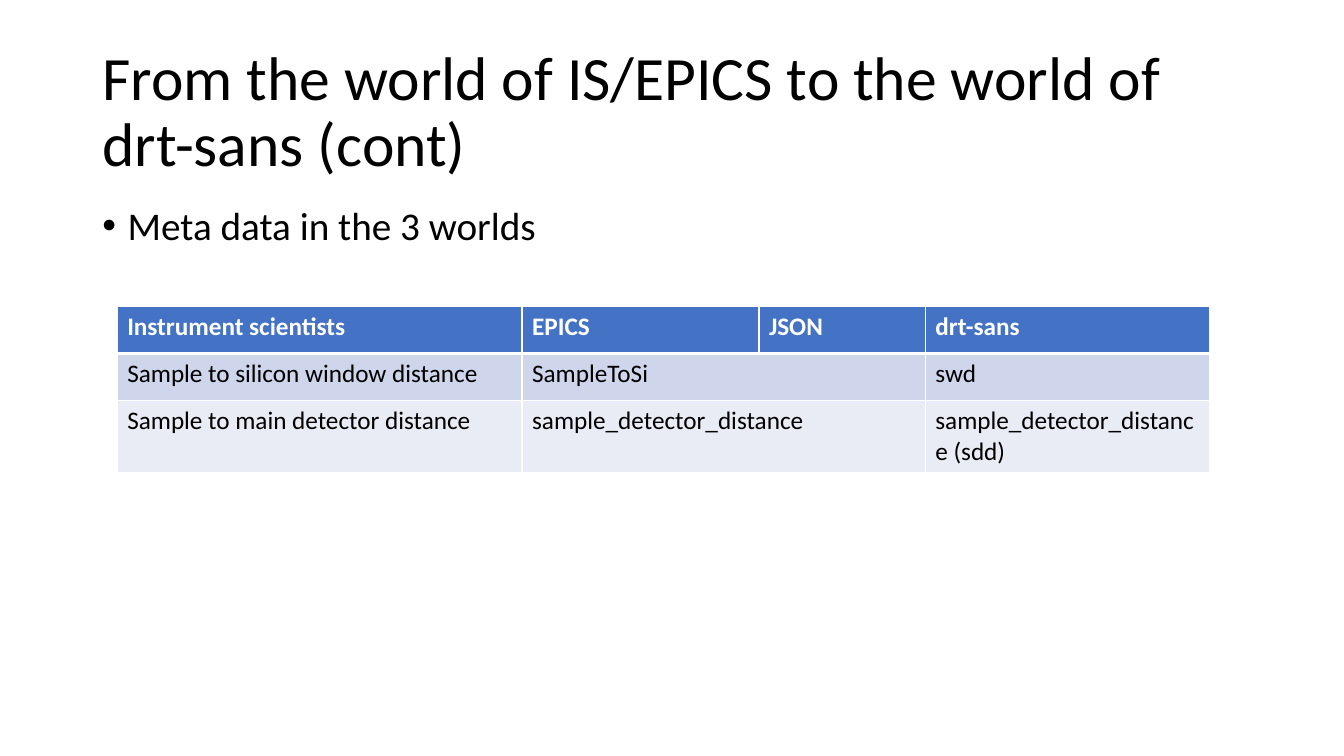
from lxml import etree
from pptx import Presentation
from pptx import util as u
from pptx.dml.color import RGBColor
from pptx.enum import text
from pptx.oxml import ns

COLS, ROWS = 160, 90
BLACK, WHITE, BLUE = "000000", "FFFFFF", "4472C4"
BANDS = ["CFD5EA", "E9EBF5"]


def rgb(value):
    return RGBColor.from_string(value)


class Deck:
    """Holds the style and the current slide; lengths are grid units of 1/12 inch."""
    font = "Calibri"

    def __init__(self):
        self.prs = Presentation()
        self.prs.slide_width, self.prs.slide_height = self.grid(COLS, ROWS)
        self.s = self.prs.slides.add_slide(self.prs.slide_layouts[1])

    def grid(self, *units):
        return [u.Inches(n / 12) for n in units]

    def run(self, p, words, size, color=BLACK, bold=False):
        r = p.add_run()
        r.text = words
        r.font.name, r.font.size, r.font.bold = self.font, u.Pt(size), bold
        r.font.color.rgb = rgb(color)

    def place(self, sp, box, anchor):
        """Moves a placeholder and returns its first paragraph."""
        sp.left, sp.top, sp.width, sp.height = self.grid(*box)
        tf = sp.text_frame
        tf.word_wrap, tf.auto_size = True, text.MSO_AUTO_SIZE.NONE
        tf.vertical_anchor = anchor
        p = tf.paragraphs[0]
        p.alignment, p.line_spacing = text.PP_ALIGN.LEFT, 0.9
        return p

    def title(self, words, box):
        p = self.place(self.s.shapes.title, box, text.MSO_ANCHOR.MIDDLE)
        p.space_before = u.Pt(0)
        self.run(p, words, 44)

    def bullet(self, words, box):
        p = self.place(self.s.placeholders[1], box, text.MSO_ANCHOR.TOP)
        p.space_before = u.Pt(10)
        pPr = p._p.get_or_add_pPr()
        pPr.set("marL", str(u.Inches(0.25)))
        pPr.set("indent", str(-u.Inches(0.25)))
        etree.SubElement(pPr, ns.qn("a:buFont")).set("typeface", "Arial")
        etree.SubElement(pPr, ns.qn("a:buChar")).set("char", "•")
        self.run(p, words, 28)

    def borders(self, cell, widths):
        """Draws white cell borders; widths maps a side (L, R, T, B) to points."""
        tcPr = cell._tc.get_or_add_tcPr()
        for side, width in widths.items():
            ln = etree.SubElement(tcPr, ns.qn(f"a:ln{side}"), w=str(u.Pt(width)))
            fill = etree.SubElement(ln, ns.qn("a:solidFill"))
            etree.SubElement(fill, ns.qn("a:srgbClr"), val=WHITE)

    def table(self, rows, left, top, widths, row_height):
        """Builds a table with a header row; None joins a cell to the one on its left."""
        box = self.grid(left, top, sum(widths), row_height * len(rows))
        tbl = self.s.shapes.add_table(len(rows), len(widths), *box).table
        for col, width in zip(tbl.columns, self.grid(*widths)):
            col.width = width
        for i, row in enumerate(rows):
            header = i == 0
            tbl.rows[i].height = self.grid(row_height)[0]
            for j, words in enumerate(row):
                cell = tbl.cell(i, j)
                self.borders(cell, {"L": 1, "R": 1, "T": 3 if i == 1 else 1,
                                    "B": 3 if header else 1})
                cell.fill.solid()
                cell.fill.fore_color.rgb = rgb(BLUE if header else BANDS[(i - 1) % 2])
                if words is None:
                    tbl.cell(i, j - 1).merge(cell)
                else:
                    self.run(cell.text_frame.paragraphs[0], words, 18,
                             WHITE if header else BLACK, header)


def main():
    deck = Deck()
    deck.title("From the world of IS/EPICS to the world of drt-sans (cont)",
               (11, 4.8, 138, 17.4))
    deck.bullet("Meta data in the 3 worlds", (11, 24, 138, 57.1))
    deck.table([
        ["Instrument scientists", "EPICS", "JSON", "drt-sans"],
        ["Sample to silicon window distance", "SampleToSi", None, "swd"],
        ["Sample to main detector distance", "sample_detector_distance", None,
         "sample_detector_distance (sdd)"],
    ], left=13.95, top=36.5, widths=[48.2, 28.2, 19.8, 33.9], row_height=5.6)
    deck.prs.save("out.pptx")


if __name__ == "__main__":
    main()
